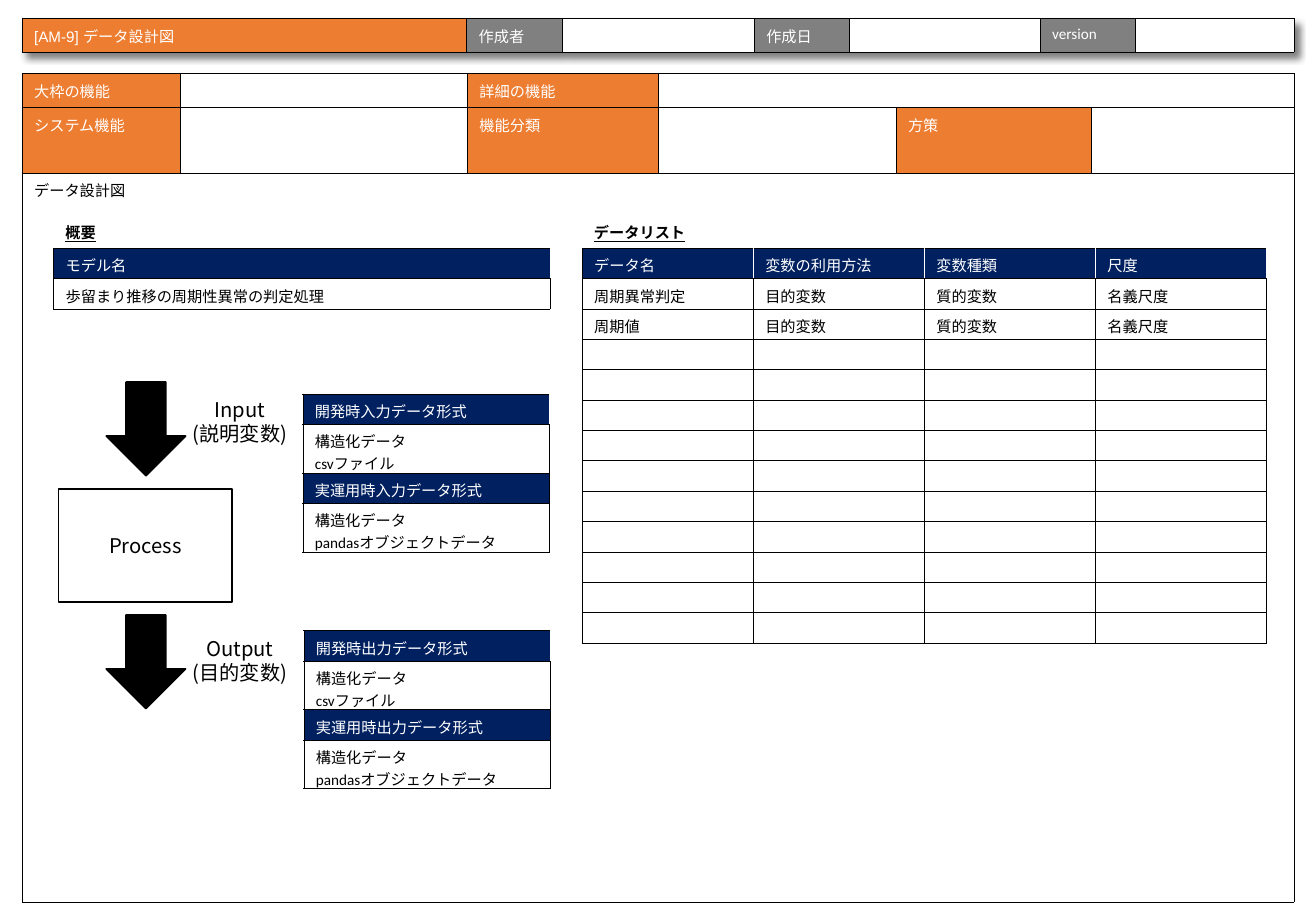
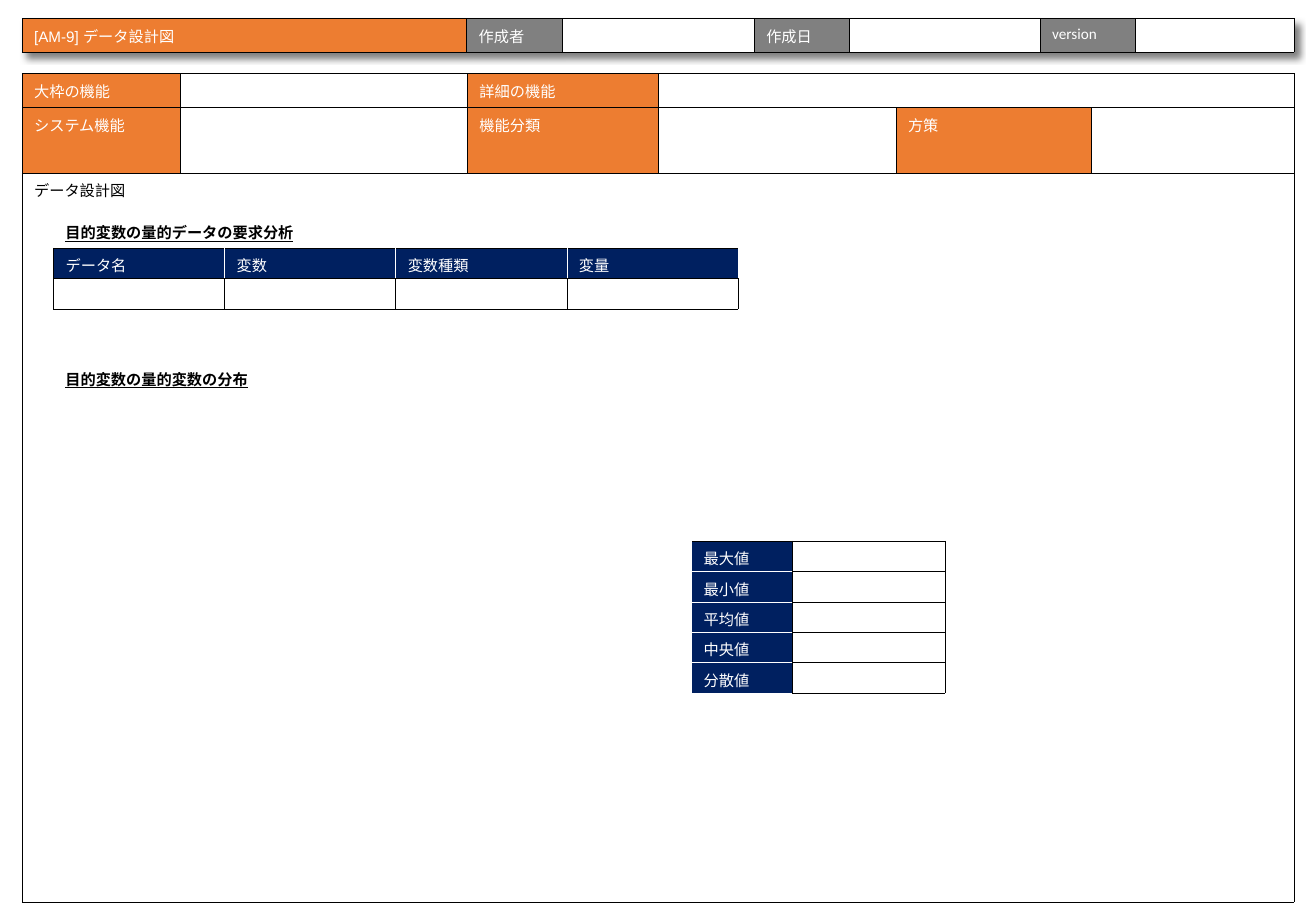
from lxml import etree
from pptx import Presentation
from pptx.dml.color import RGBColor
from pptx.enum.shapes import MSO_SHAPE
from pptx.enum.text import MSO_ANCHOR, PP_ALIGN
from pptx.oxml.ns import qn
from pptx.util import Pt

RECTANGLE, DOWN_ARROW = MSO_SHAPE.RECTANGLE, MSO_SHAPE.DOWN_ARROW
MIDDLE, CENTER = MSO_ANCHOR.MIDDLE, PP_ALIGN.CENTER

COLORS = {
    "orange": "ED7D31",
    "gray": "808080",
    "navy": "002060",
    "white": "FFFFFF",
    "black": "000000",
}
ASIAN_FONT = "Noto Sans CJK JP"
BODY_FONT = "Calibri"
TITLE_FONT = "Arial"
SMALL = 9
ROW = 18
TWO_LINE_ROW = 28.8
DATA_COLUMN = 101.4
LEFT = 31.7
HEADING_TOP = 129
TABLE_TOP = 147


def rgb(name):
    return RGBColor.from_string(COLORS[name])


def format_text(frame, color="black", size=SMALL, font=BODY_FONT, bold=False, align=None):
    for para in frame.paragraphs:
        if align is not None:
            para.alignment = align
        for span in para.runs:
            span.font.size = Pt(size)
            span.font.name = font
            span.font.color.rgb = rgb(color)
            if bold:
                span.font.bold = span.font.underline = True
            etree.SubElement(span._r.get_or_add_rPr(), qn("a:ea"), typeface=ASIAN_FONT)
        if not para.runs:
            etree.SubElement(para._p, qn("a:endParaRPr"), sz=str(size * 100))


def set_borders(cell, white_sides):
    properties = cell._tc.get_or_add_tcPr()
    for index, side in enumerate("LRTB"):
        line = etree.Element(qn(f"a:ln{side}"), w=str(Pt(0.25)))
        fill = etree.SubElement(line, qn("a:solidFill"))
        color = COLORS["white" if side in white_sides else "black"]
        etree.SubElement(fill, qn("a:srgbClr"), val=color)
        properties.insert(index, line)


def add_grid(page, left, top, widths, heights, texts, fills, white=None, first_font=BODY_FONT):
    table = page.shapes.add_table(
        len(heights), len(widths), Pt(left), Pt(top), Pt(sum(widths)), Pt(sum(heights))
    ).table
    table.first_row = table.horz_banding = False
    for column, width in zip(table.columns, widths):
        column.width = Pt(width)
    for row, height in zip(table.rows, heights):
        row.height = Pt(height)
    for r in range(len(heights)):
        for c in range(len(widths)):
            cell = table.cell(r, c)
            fill = fills.get((r, c), "white")
            cell.margin_bottom = 0
            cell.text_frame.text = texts.get((r, c), "")
            cell.fill.solid()
            cell.fill.fore_color.rgb = rgb(fill)
            format_text(
                cell.text_frame,
                "black" if fill == "white" else "white",
                font=first_font if (r, c) == (0, 0) else BODY_FONT,
            )
            set_borders(cell, (white or {}).get((r, c), ""))
    return table


def add_shadow(table):
    effects = etree.Element(qn("a:effectLst"))
    shadow = etree.SubElement(
        effects, qn("a:outerShdw"), blurRad=str(Pt(4)), dist=str(Pt(4)),
        dir="2700000", algn="tl", rotWithShape="0",
    )
    color = etree.SubElement(shadow, qn("a:srgbClr"), val=COLORS["black"])
    etree.SubElement(color, qn("a:alpha"), val="50000")
    table._tbl.tblPr.insert(0, effects)


def add_page(deck):
    page = deck.slides.add_slide(deck.slide_layouts[6])
    labels = {0: "[AM-9] データ設計図", 1: "作成者", 3: "作成日", 5: "version"}
    title_bar = add_grid(
        page, 13, 11, [263.5, 57, 113.5, 56.5, 113, 56.5, 94], [20],
        {(0, c): text for c, text in labels.items()},
        {(0, c): "gray" if c else "orange" for c in labels},
        first_font=TITLE_FONT,
    )
    add_shadow(title_bar)
    texts = {
        (0, 0): "大枠の機能", (0, 2): "詳細の機能",
        (1, 0): "システム機能", (1, 2): "機能分類", (1, 4): "方策",
        (2, 0): "データ設計図",
    }
    body = add_grid(
        page, 13, 43.5, [94, 170, 113, 141, 116, 120], [20.2, 39, 432],
        texts, {spot: "orange" for spot in texts if spot[0] < 2},
    )
    body.cell(0, 3).merge(body.cell(0, 5))
    body.cell(2, 0).merge(body.cell(2, 5))
    return page


def add_heading(page, left, top, width, text):
    box = page.shapes.add_textbox(Pt(left), Pt(top), Pt(width), Pt(ROW))
    box.text_frame.word_wrap = False
    box.text_frame.text = text
    format_text(box.text_frame, font=TITLE_FONT, bold=True)


def add_list(page, left, top, width, rows, row_count):
    columns = range(len(rows[0]))
    return add_grid(
        page, left, top, [width] * len(rows[0]), [ROW] * row_count,
        {(r, c): text for r, row in enumerate(rows) for c, text in enumerate(row)},
        {(0, c): "navy" for c in columns},
        {(0, c): "LR" if c else "R" for c in columns},
    )


def add_formats(page, left, top, direction):
    texts = [
        f"開発時{direction}データ形式", "構造化データ\ncsvファイル",
        f"実運用時{direction}データ形式", "構造化データ\npandasオブジェクトデータ",
    ]
    add_grid(
        page, left, top, [146.3], [ROW, TWO_LINE_ROW] * 2,
        {(r, 0): text for r, text in enumerate(texts)},
        {(0, 0): "navy", (2, 0): "navy"}, {(0, 0): "R"},
    )


def add_block(page, kind, left, top, width, height, fill):
    block = page.shapes.add_shape(kind, Pt(left), Pt(top), Pt(width), Pt(height))
    block.shadow.inherit = False
    block.fill.solid()
    block.fill.fore_color.rgb = rgb(fill)
    block.line.color.rgb = rgb("black")
    block.line.width = Pt(1)
    return block


def set_centered_text(box, text):
    frame = box.text_frame
    frame.word_wrap = True
    frame.vertical_anchor = MIDDLE
    frame.text = text
    format_text(frame, size=12, font=ASIAN_FONT, align=CENTER)


def add_flow_step(page, arrow_top, label_top, label):
    add_block(page, DOWN_ARROW, 63, arrow_top, 47, 55.5, "black")
    box = page.shapes.add_textbox(Pt(104.4), Pt(label_top), Pt(75.6), Pt(36))
    set_centered_text(box, label)


def build_data_design(deck):
    page = add_page(deck)
    add_heading(page, 345, HEADING_TOP, 69, "データリスト")
    rows = [
        ["データ名", "変数の利用方法", "変数種類", "尺度"],
        ["周期異常判定", "目的変数", "質的変数", "名義尺度"],
        ["周期値", "目的変数", "質的変数", "名義尺度"],
    ]
    add_list(page, 345, TABLE_TOP, DATA_COLUMN, rows, 13)
    add_heading(page, LEFT, HEADING_TOP, 32.4, "概要")
    model = [["モデル名"], ["歩留まり推移の周期性異常の判定処理"]]
    add_list(page, LEFT, TABLE_TOP, 294.4, model, 2)
    process = add_block(page, RECTANGLE, 34.7, 290, 103, 67, "white")
    set_centered_text(process, "Process")
    add_flow_step(page, 226.5, 232, "Input\n(説明変数)")
    add_flow_step(page, 364.5, 373.7, "Output\n(目的変数)")
    add_formats(page, 179.4, 233.5, "入力")
    add_formats(page, 180, 373.8, "出力")


def build_target_analysis(deck):
    page = add_page(deck)
    add_heading(page, LEFT, HEADING_TOP, 151, "目的変数の量的データの要求分析")
    header = ["データ名", "変数", "変数種類", "変量"]
    add_list(page, LEFT, TABLE_TOP, DATA_COLUMN, [header], 2)
    add_heading(page, LEFT, 216, 124, "目的変数の量的変数の分布")
    statistics = ["最大値", "最小値", "平均値", "中央値", "分散値"]
    add_grid(
        page, 409.9, 320.7, [59.8, 90.5], [ROW] * len(statistics),
        {(r, 0): text for r, text in enumerate(statistics)},
        {(r, 0): "navy" for r in range(len(statistics))},
        {(r, 0): "LTB" if r else "LB" for r in range(len(statistics))},
    )


def main():
    deck = Presentation()
    deck.slide_width, deck.slide_height = Pt(780), Pt(540)
    build_data_design(deck)
    build_target_analysis(deck)
    deck.save("out.pptx")


if __name__ == "__main__":
    main()
